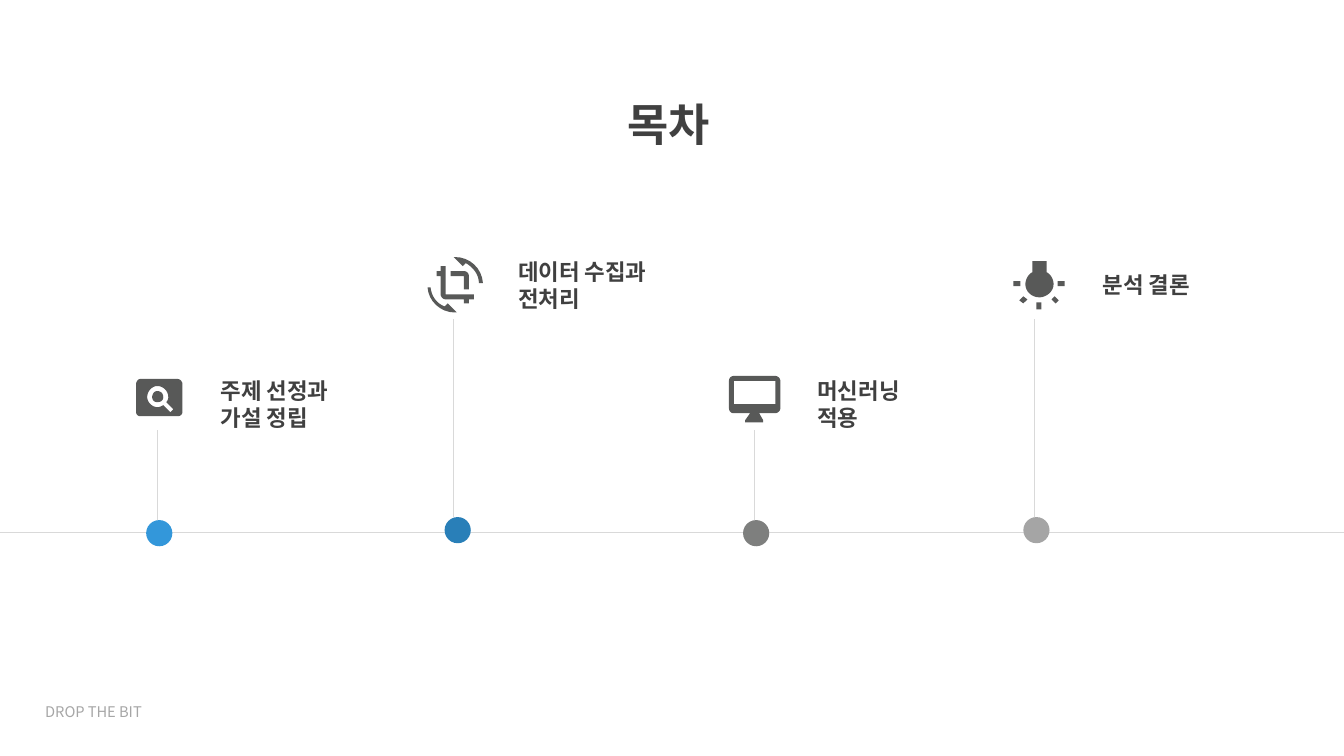
from lxml import etree
from pptx import Presentation
from pptx.dml.color import RGBColor
from pptx.enum.shapes import MSO_CONNECTOR, MSO_SHAPE
from pptx.enum.text import MSO_AUTO_SIZE, PP_ALIGN
from pptx.oxml.ns import qn
from pptx.util import Inches, Pt

FONT = "Noto Sans CJK KR"
INK = RGBColor(0x40, 0x40, 0x40)
FOOTER_GRAY = RGBColor(0xA6, 0xA6, 0xA6)
RULE_GRAY = RGBColor(0xD9, 0xD9, 0xD9)
ICON_GRAY = RGBColor(0x58, 0x59, 0x58)
LIGHT_BLUE = RGBColor(0x33, 0x97, 0xDA)
DARK_BLUE = RGBColor(0x29, 0x7F, 0xB8)
DARK_GRAY = RGBColor(0x7E, 0x7F, 0x7E)
LIGHT_GRAY = RGBColor(0xA5, 0xA5, 0xA5)

SLIDE_WIDTH, SLIDE_HEIGHT = 13.33, 7.5
TIMELINE_Y = 5.28
DOT_SIZE = 0.26
LINE_HEIGHT = 1.2
CURVE_STEPS = 8

# Icon outlines in inches: M starts a contour, L draws lines, C draws Bezier curves.
SEARCH_ICON = """
M 1.69 4.09 L 1.72 4.06 1.65 3.99 C 1.66 3.98 1.67 3.96 1.67 3.94
C 1.67 3.88 1.62 3.83 1.56 3.83 C 1.51 3.83 1.46 3.88 1.46 3.94
C 1.46 3.99 1.51 4.04 1.56 4.04 C 1.59 4.04 1.6 4.03 1.62 4.02
M 1.76 3.76 C 1.79 3.76 1.81 3.79 1.81 3.81 L 1.81 4.09
C 1.81 4.11 1.79 4.13 1.76 4.13 L 1.39 4.13 C 1.37 4.13 1.35 4.11 1.35 4.09
L 1.35 3.81 C 1.35 3.79 1.37 3.76 1.39 3.76
M 1.56 3.88 C 1.6 3.88 1.62 3.91 1.62 3.94 C 1.62 3.97 1.6 3.99 1.56 3.99
C 1.53 3.99 1.51 3.97 1.51 3.94 C 1.51 3.91 1.53 3.88 1.56 3.88
"""
CROP_ICON = """
M 4.7 2.92 L 4.7 2.97 4.65 2.97 4.65 3.01 4.6 3.01 4.6 2.97 4.42 2.97
C 4.39 2.97 4.37 2.94 4.37 2.92 L 4.37 2.74 4.33 2.74 4.33 2.69 4.37 2.69
4.37 2.64 4.42 2.64 4.42 2.92
M 4.6 2.87 L 4.6 2.74 4.47 2.74 4.47 2.69 4.6 2.69
C 4.63 2.69 4.65 2.71 4.65 2.74 L 4.65 2.87
M 4.51 2.55 C 4.66 2.55 4.78 2.66 4.79 2.81 L 4.75 2.81
C 4.75 2.72 4.69 2.65 4.62 2.61 L 4.59 2.64 4.5 2.55
M 4.41 3.04 L 4.44 3.01 4.53 3.1 C 4.52 3.1 4.52 3.1 4.51 3.1
C 4.37 3.1 4.25 2.99 4.24 2.85 L 4.27 2.85 C 4.28 2.94 4.33 3.01 4.41 3.04
"""
MONITOR_ICON = """
M 7.69 4.01 L 7.69 3.78 7.28 3.78 7.28 4.01
M 7.69 3.73 C 7.71 3.73 7.74 3.75 7.74 3.78 L 7.74 4.05
C 7.74 4.08 7.71 4.1 7.69 4.1 L 7.53 4.1 7.57 4.17 7.57 4.19 7.39 4.19
7.39 4.17 7.44 4.1 7.28 4.1 C 7.25 4.1 7.23 4.08 7.23 4.05 L 7.23 3.78
C 7.23 3.75 7.25 3.73 7.28 3.73
"""
BULB_ICON = """
M 10.43 2.97 L 10.46 2.94 10.5 2.98 10.47 3.01
M 10.49 2.79 L 10.56 2.79 10.56 2.84 10.49 2.84
M 10.38 2.7 C 10.42 2.72 10.45 2.77 10.45 2.82
C 10.45 2.89 10.38 2.95 10.31 2.95 C 10.23 2.95 10.17 2.89 10.17 2.82
C 10.17 2.77 10.2 2.72 10.24 2.7 L 10.24 2.59 10.38 2.59
M 10.12 2.79 L 10.12 2.84 10.05 2.84 10.05 2.79
M 10.28 3.07 L 10.28 3 10.33 3 10.33 3.07
M 10.11 2.98 L 10.15 2.94 10.19 2.97 10.15 3.01
"""

# Dot top and stem top for the two heights of milestone
LOW, HIGH = (5.16, 4.27), (5.13, 3.16)
# Label, label box, dot left, stem x, level, dot colour, icon
MILESTONES = [
    ("주제 선정과\n가설 정립", (2.09, 3.69, 1.97, 0.64), 1.45, 1.56, LOW, LIGHT_BLUE, SEARCH_ICON),
    ("데이터 수집과\n전처리", (5.04, 2.51, 1.97, 0.64), 4.41, 4.5, HIGH, DARK_BLUE, CROP_ICON),
    ("머신러닝\n적용", (8.01, 3.69, 1.97, 0.64), 7.37, 7.48, LOW, DARK_GRAY, MONITOR_ICON),
    ("분석 결론", (10.84, 2.64, 2.2, 0.37), 10.15, 10.26, HIGH, LIGHT_GRAY, BULB_ICON),
]


def add_text(slide, text, box, size, color, bold=False, alignment=PP_ALIGN.LEFT):
    text_frame = slide.shapes.add_textbox(*map(Inches, box)).text_frame
    text_frame.word_wrap = True
    text_frame.auto_size = MSO_AUTO_SIZE.SHAPE_TO_FIT_TEXT
    text_frame.text = text
    for paragraph in text_frame.paragraphs:
        paragraph.alignment = alignment
        paragraph.line_spacing = Pt(size * LINE_HEIGHT)
        for run in paragraph.runs:
            run.font.name = FONT
            run.font.size = Pt(size)
            run.font.bold = bold
            run.font.color.rgb = color
            east_asian = etree.SubElement(run.font._element, qn("a:ea"))
            east_asian.set("typeface", FONT)


def add_line(slide, start, end):
    line = slide.shapes.add_connector(MSO_CONNECTOR.STRAIGHT, *map(Inches, start + end))
    line.line.color.rgb = RULE_GRAY
    line.line.width = Pt(0.5)
    etree.SubElement(line._element.spPr, qn("a:effectLst"))


def paint(shape, color):
    shape.shadow.inherit = False
    shape.fill.solid()
    shape.fill.fore_color.rgb = color
    shape.line.fill.background()


def curve_points(start, control1, control2, end):
    """Return points along a cubic Bezier curve, without its start."""
    points = []
    for step in range(1, CURVE_STEPS + 1):
        t = step / CURVE_STEPS
        weights = ((1 - t) ** 3, 3 * t * (1 - t) ** 2, 3 * t * t * (1 - t), t ** 3)
        corners = (start, control1, control2, end)
        points.append(tuple(sum(w * c[axis] for w, c in zip(weights, corners)) for axis in (0, 1)))
    return points


def outline_contours(outline):
    """Turn an outline into lists of points, one for each contour."""
    contours = []
    for segment in outline.replace("M", "|M").replace("L", "|L").replace("C", "|C").split("|")[1:]:
        command, *values = segment.split()
        numbers = [float(value) for value in values]
        points = list(zip(numbers[::2], numbers[1::2]))
        if command == "M":
            contours.append(points)
        elif command == "L":
            contours[-1].extend(points)
        else:
            contours[-1].extend(curve_points(contours[-1][-1], *points))
    return [[(Inches(x), Inches(y)) for x, y in contour] for contour in contours]


def add_icon(slide, outline):
    first, *others = outline_contours(outline)
    builder = slide.shapes.build_freeform(*first[0])
    builder.add_line_segments(first[1:], close=True)
    for contour in others:
        builder.move_to(*contour[0])
        builder.add_line_segments(contour[1:], close=True)
    paint(builder.convert_to_shape(), ICON_GRAY)


def main():
    presentation = Presentation()
    presentation.slide_width = Inches(SLIDE_WIDTH)
    presentation.slide_height = Inches(SLIDE_HEIGHT)
    slide = presentation.slides.add_slide(presentation.slide_layouts[6])

    add_text(slide, "목차", (4.92, 0.91, 3.42, 0.64), 32, INK, True, PP_ALIGN.CENTER)
    add_line(slide, (0, TIMELINE_Y), (SLIDE_WIDTH, TIMELINE_Y))
    for label, box, dot_left, stem_x, (dot_top, stem_top), color, icon in MILESTONES:
        dot_box = (dot_left, dot_top, DOT_SIZE, DOT_SIZE)
        paint(slide.shapes.add_shape(MSO_SHAPE.OVAL, *map(Inches, dot_box)), color)
        add_line(slide, (stem_x, dot_top), (stem_x, stem_top))
        add_text(slide, label, box, 16, INK, True)
        add_icon(slide, icon)
    add_text(slide, "DROP THE BIT", (0.35, 6.92, 1.59, 0.28), 10.5, FOOTER_GRAY)

    presentation.save("out.pptx")


if __name__ == "__main__":
    main()
